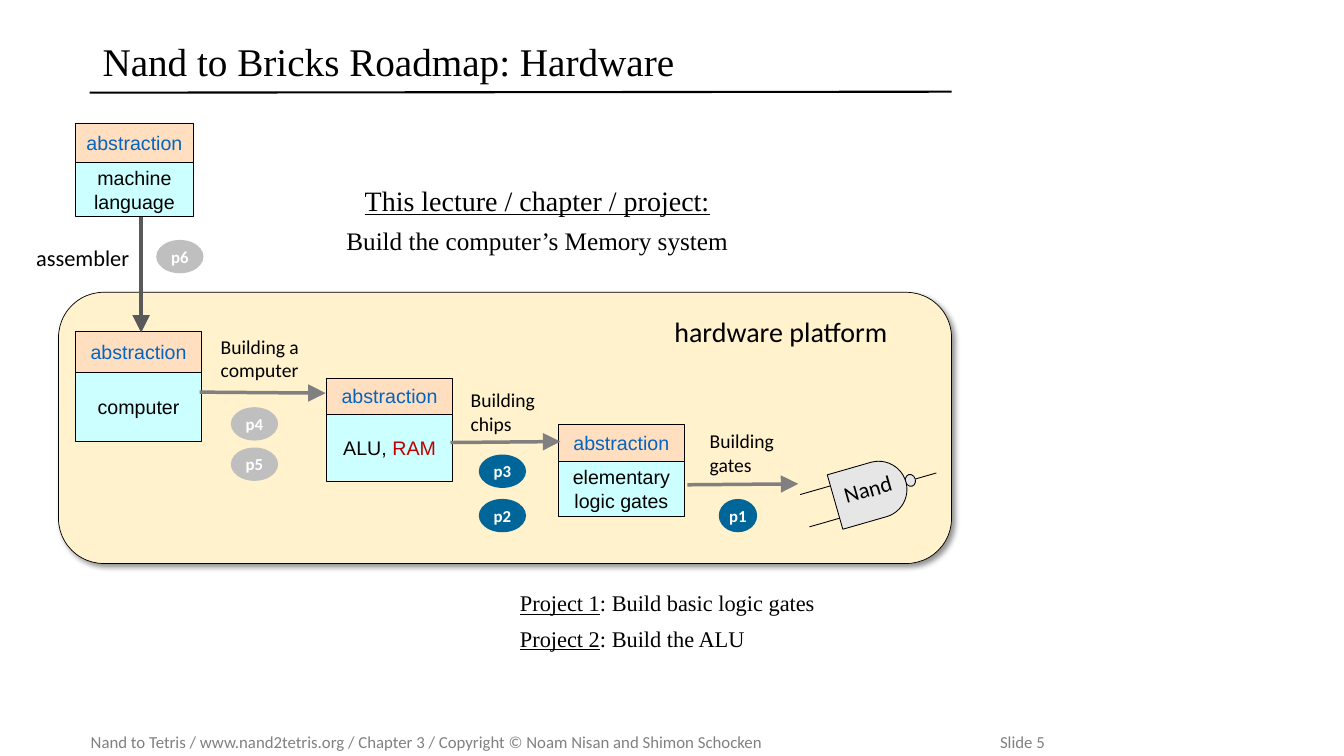
from math import cos, pi, radians, sin

from lxml import etree
from pptx import Presentation
from pptx.dml.color import RGBColor
from pptx.enum.shapes import MSO_CONNECTOR, MSO_SHAPE
from pptx.enum.text import MSO_ANCHOR, PP_ALIGN
from pptx.oxml.ns import qn
from pptx.util import Pt

RECT, ROUND, OVAL = MSO_SHAPE.RECTANGLE, MSO_SHAPE.ROUNDED_RECTANGLE, MSO_SHAPE.OVAL
STRAIGHT = MSO_CONNECTOR.STRAIGHT
TOP, MIDDLE = MSO_ANCHOR.TOP, MSO_ANCHOR.MIDDLE
LEFT, CENTER = PP_ALIGN.LEFT, PP_ALIGN.CENTER

THEME = {
    "color": {"ink": "000000", "blue": "0563C1", "red": "C00000", "white": "FFFFFF",
              "gray": "808080", "dark": "595959", "peach": "FFDFBF", "aqua": "CCFFFF",
              "cream": "FFF2CC", "gate": "E6E6E6", "done": "006699", "later": "BFBFBF"},
    "type": {  # font, size, colour, bold
        "title": ("Times New Roman", 28, "ink", False),
        "lead": ("Times New Roman", 20, "ink", False),
        "goal": ("Times New Roman", 18, "ink", False),
        "task": ("Times New Roman", 16, "ink", False),
        "platform": ("Calibri", 20, "ink", False),
        "name": ("Calibri", 16, "ink", False),
        "step": ("Calibri", 14, "ink", False),
        "badge": ("Calibri", 12, "white", True),
        "foot": ("Calibri", 12, "gray", False),
        "head": ("Arial", 14, "blue", False),
        "body": ("Arial", 14, "ink", False),
        "focus": ("Arial", 14, "red", False),
    },
}

# A run is (text, type) or (text, type, underlined).
TITLE = [[("Nand to Bricks Roadmap: Hardware", "title")]]
FOOT = [[("Nand to Tetris / www.nand2tetris.org / Chapter 3 / "
          "Copyright © Noam Nisan and Shimon Schocken\tSlide 5", "foot")]]
LECTURE = [[("This lecture / chapter / project:", "lead", True)],
           [("Build the computer’s Memory system", "goal")]]
TASKS = [[("Project 1", "task", True), (": Build basic logic gates", "task")],
         [("Project 2", "task", True), (": Build the ALU", "task")]]

# left, top, width, head height, body height, body runs
STACKS = [
    (54, 87.8, 84.2, 28.1, 38.9, [("machine language", "body")]),
    (54, 236.5, 90, 29.2, 49.3, [("computer", "body")]),
    (233.3, 270, 90, 25.9, 47.5, [("ALU, ", "body"), ("RAM", "focus")]),
    (398.9, 303.1, 90, 26.6, 38.9, [("elementary logic gates", "body")]),
]
# left, top, width, height, text, type
LABELS = [
    (481.7, 224.6, 154.1, 24.5, "hardware platform", "platform"),
    (25.9, 174.2, 74.9, 19.4, "assembler", "name"),
    (157.7, 239, 74.9, 33.8, "Building a computer", "step"),
    (336.2, 277.2, 53.3, 33.8, "Building chips", "step"),
    (506.9, 306.7, 60, 33.8, "Building gates", "step"),
]
# from x, y, to x, y, colour
ARROWS = [
    (100.8, 154.8, 100.8, 237.6, "dark"),
    (142.6, 280.1, 232.6, 280.8, "gray"),
    (321.8, 316.1, 400.3, 315.4, "gray"),
    (491, 346.3, 570.2, 345.6, "gray"),
]
# left, top, width, text, fill
BADGES = [
    (513.4, 356.4, 27.4, "p1", "done"),
    (342, 324.7, 33.8, "p3", "done"),
    (342, 356.4, 33.8, "p2", "done"),
    (164.9, 290.9, 33.8, "p4", "later"),
    (164.9, 319.7, 33.8, "p5", "later"),
    (111.6, 171.4, 33.8, "p6", "later"),
]
# Gate, measured along its own axis from the middle of its flat side
GATE = {"x": 596.5, "y": 358.6, "turn": -16, "flat": 32.4, "radius": 20.2}
WIRES = [(-22.5, 37.4, -12), (-22.5, 37.4, 12), (15, 75.3, 0)]  # start, end, offset

deck = Presentation()
deck.slide_width, deck.slide_height = Pt(960), Pt(540)
slide = deck.slides.add_slide(deck.slide_layouts[6])
shapes = slide.shapes


def tint(name):
    return RGBColor.from_string(THEME["color"][name])


def assign(item, values):
    for key, value in values.items():
        setattr(item, key, value)


def write(shape, paras, align=LEFT, anchor=TOP, inset=(0, 0), wrap=True,
          gap=6, leading=None):
    """Fill a shape with paragraphs of runs; inset is (sides, top and bottom)."""
    frame = shape.text_frame
    side, edge = map(Pt, inset)
    assign(frame, {"word_wrap": wrap, "vertical_anchor": anchor,
                   "margin_left": side, "margin_right": side,
                   "margin_top": edge, "margin_bottom": edge})
    for i, runs in enumerate(paras):
        para = frame.add_paragraph() if i else frame.paragraphs[0]
        assign(para, {"alignment": align, "line_spacing": leading,
                      "space_before": Pt(gap if i else 0)})
        for text, kind, *under in runs:
            font, size, color, bold = THEME["type"][kind]
            run = para.add_run()
            run.text = text
            assign(run.font, {"name": font, "size": Pt(size), "bold": bold,
                              "underline": bool(under)})
            run.font.color.rgb = tint(color)
    return frame


def label(box, paras, **form):
    return write(shapes.add_textbox(*map(Pt, box)), paras, **form)


def paint(shape, fill, width=0):
    shape.shadow.inherit = False
    shape.fill.solid()
    shape.fill.fore_color.rgb = tint(fill)
    if width:
        shape.line.width = Pt(width)
        shape.line.color.rgb = tint("ink")
    else:
        shape.line.fill.background()
    return shape


def block(kind, box, fill, width=0):
    return paint(shapes.add_shape(kind, *map(Pt, box)), fill, width)


def line(ends, color, width, arrow=False):
    item = shapes.add_connector(STRAIGHT, *map(Pt, ends))
    item.line.width = Pt(width)
    item.line.color.rgb = tint(color)
    props = item._element.spPr
    if arrow:
        etree.SubElement(props.find(qn("a:ln")), qn("a:tailEnd"),
                         type="triangle", w="lg", len="lg")
    etree.SubElement(props, qn("a:effectLst"))


def spot(along, across):
    """Turn a place on the gate's axes into a place on the slide."""
    turn = radians(GATE["turn"])
    return (GATE["x"] + along * cos(turn) - across * sin(turn),
            GATE["y"] + along * sin(turn) + across * cos(turn))


def tilted(kind, along, across, width, height, outline=0):
    x, y = spot(along, across)
    item = block(kind, (x - width / 2, y - height / 2, width, height), "gate", outline)
    item.rotation = GATE["turn"]
    return item


def draw_panel():
    panel = block(ROUND, (41.8, 208.8, 637.9, 193.7), "cream", 0.5)
    effects = panel._element.spPr.find(qn("a:effectLst"))
    shade = etree.SubElement(effects, qn("a:outerShdw"), blurRad=str(Pt(4)),
                             dist=str(Pt(3)), dir="2700000", algn="tl", rotWithShape="0")
    black = etree.SubElement(shade, qn("a:srgbClr"), val=THEME["color"]["ink"])
    etree.SubElement(black, qn("a:alpha"), val="43000")


def draw_gate():
    for start, end, across in WIRES:
        line((*spot(start, across), *spot(end, across)), "ink", 0.63)
    tilted(OVAL, 56, 0, 7.2, 8.6, 0.63)
    flat, radius = GATE["flat"], GATE["radius"]
    arc = [pi * (i / 24 - 0.5) for i in range(25)]
    rim = [(0, radius), (0, -radius)]
    rim += [(flat + radius * cos(a), radius * sin(a)) for a in arc]
    first, *rest = [tuple(map(Pt, spot(*place))) for place in rim]
    path = shapes.build_freeform(*first)
    path.add_line_segments(rest, close=True)
    paint(path.convert_to_shape(), "gate", 0.63)
    write(tilted(RECT, 26.3, -4.1, 37.4, 16.6), [[("Nand", "name")]])


foot = label((64.8, 519.1, 882, 21.6), FOOT, anchor=MIDDLE, inset=(0, 3.6))
tabs = etree.SubElement(foot.paragraphs[0]._p.get_or_add_pPr(), qn("a:tabLst"))
etree.SubElement(tabs, qn("a:tab"), pos=str(Pt(649.5)), algn="l")
line((64.1, 66.2, 679.7, 65.5), "ink", 1.5)
label((66.2, 23, 614.2, 45.4), TITLE, anchor=MIDDLE, inset=(7.2, 3.6), leading=0.9)

draw_panel()
for x, y, wide, head, body, runs in STACKS:
    parts = [(y + head, body, "aqua", runs), (y, head, "peach", [("abstraction", "head")])]
    for top, high, fill, words in parts:
        write(block(RECT, (x, top, wide, high), fill, 0.25), [words],
              align=CENTER, anchor=MIDDLE, inset=(3, 3.6))
draw_gate()
for *box, text, kind in LABELS:
    label(box, [[(text, kind)]], wrap=kind != "platform")
for *ends, color in ARROWS:
    line(ends, color, 2.5, arrow=True)
for x, y, wide, text, fill in BADGES:
    write(block(OVAL, (x, y, wide, 23.8), fill), [[(text, "badge")]],
          align=CENTER, anchor=MIDDLE)

label((364.3, 417.6, 411.1, 56.2), TASKS, inset=(7.2, 3.6))
label((187.2, 127.4, 393.1, 64.1), LECTURE, align=CENTER, inset=(7.2, 3.6))

deck.save("out.pptx")
